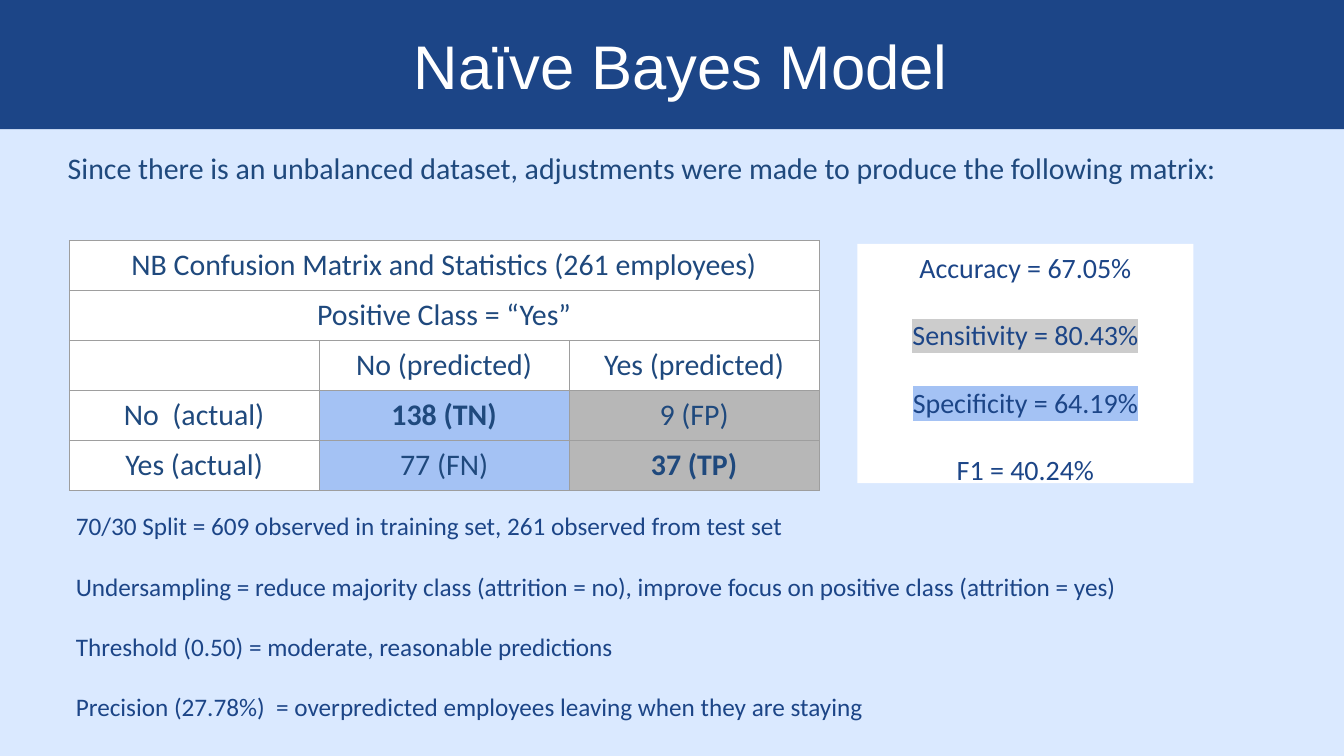
from lxml import etree
from pptx import Presentation
from pptx.dml.color import RGBColor
from pptx.enum.shapes import MSO_SHAPE
from pptx.enum.text import MSO_ANCHOR, MSO_AUTO_SIZE, PP_ALIGN
from pptx.oxml.ns import qn
from pptx.util import Inches, Pt

RECT = MSO_SHAPE.RECTANGLE
TOP = MSO_ANCHOR.TOP
NO_FIT = MSO_AUTO_SIZE.NONE
LEFT, CENTER = PP_ALIGN.LEFT, PP_ALIGN.CENTER

NAVY, SLATE, WHITE, SKY = "1C4587", "1F497D", "FFFFFF", "DAE9FF"
BLUE, GREY, SILVER, EDGE = "A4C2F4", "B7B7B7", "CCCCCC", "9E9E9E"

INTRO = "Since there is an unbalanced dataset, adjustments were made to produce the following matrix:"
NOTES = [
    "70/30 Split = 609 observed in training set, 261 observed from test set",
    "Undersampling = reduce majority class (attrition = no), improve focus on positive class (attrition = yes)",
    "Threshold (0.50) = moderate, reasonable predictions",
    "Precision (27.78%)  = overpredicted employees leaving when they are staying",
]
SCORES = [
    ("Accuracy = 67.05%", None),
    ("Sensitivity = 80.43%", SILVER),
    ("Specificity = 64.19%", BLUE),
    ("F1 = 40.24%", None),
]
MATRIX = [
    ["NB Confusion Matrix and Statistics (261 employees)", "", ""],
    ["Positive Class = “Yes”", "", ""],
    ["", "No (predicted)", "Yes (predicted)"],
    ["No  (actual)", "138 (TN)", "9 (FP)"],
    ["Yes (actual)", "77 (FN)", "37 (TP)"],
]
HITS = {(3, 1), (4, 2)}
TINTS = [WHITE, BLUE, GREY]


def color(code):
    """Turn a hex string into a colour."""
    return RGBColor.from_string(code)


def style(para, size, code, align=LEFT, font="Calibri", bold=False):
    """Set the font and alignment of a paragraph."""
    para.alignment = align
    para.font.name = font
    para.font.size = Pt(size)
    para.font.bold = bold
    para.font.color.rgb = color(code)


def mark(run, code):
    """Highlight a run."""
    tag = etree.SubElement(run.font._element, qn("a:highlight"))
    etree.SubElement(tag, qn("a:srgbClr"), val=code)


def write(shape, lines, size, code, align=LEFT, gap=0):
    """Fill a shape with (text, highlight) lines set apart by a gap."""
    frame = shape.text_frame
    frame.word_wrap = True
    frame.auto_size = NO_FIT
    frame.vertical_anchor = TOP
    frame.margin_left = frame.margin_right = Inches(0.1)
    frame.margin_top = frame.margin_bottom = Inches(0.1)
    for i, (text, tint) in enumerate(lines):
        para = frame.add_paragraph() if i else frame.paragraphs[0]
        run = para.add_run()
        run.text = text
        if i:
            para.space_before = Pt(gap)
        style(para, size, code, align)
        if tint:
            mark(run, tint)


def add_text(slide, box, *args, **keys):
    """Add a text box."""
    shape = slide.shapes.add_textbox(*map(Inches, box))
    write(shape, *args, **keys)


def add_box(slide, box, code):
    """Add a plain filled rectangle."""
    shape = slide.shapes.add_shape(RECT, *map(Inches, box))
    shape.shadow.inherit = False
    shape.fill.solid()
    shape.fill.fore_color.rgb = color(code)
    shape.line.fill.background()
    return shape


def add_title(slide, text):
    """Place the title over a band across the top."""
    band = add_box(slide, (0, 0, 20, 1.92), NAVY)
    title = slide.shapes.title
    title._element.addprevious(band._element)
    title.left, title.top = Inches(0.42), Inches(-0.03)
    title.width, title.height = Inches(19.42), Inches(1.11)
    frame = title.text_frame
    frame.text = text
    frame.auto_size = NO_FIT
    frame.vertical_anchor = TOP
    frame.margin_left = frame.margin_right = 0
    frame.margin_top = frame.margin_bottom = 0
    para = frame.paragraphs[0]
    para.line_spacing = 1.4
    style(para, 66, WHITE, CENTER, "Arial")


def edge(cell):
    """Draw the four borders of a cell."""
    props = cell._tc.get_or_add_tcPr()
    for side in ("lnL", "lnR", "lnT", "lnB"):
        line = etree.SubElement(props, qn(f"a:{side}"), w=str(Pt(0.75)))
        fill = etree.SubElement(line, qn("a:solidFill"))
        etree.SubElement(fill, qn("a:srgbClr"), val=EDGE)


def add_matrix(slide):
    """Add the confusion matrix."""
    rows, cols = len(MATRIX), len(MATRIX[0])
    box = map(Inches, (1.03, 3.58, 3.72 * cols, 0.73 * rows))
    table = slide.shapes.add_table(rows, cols, *box).table
    for col in table.columns:
        col.width = Inches(3.72)
    for r, row in enumerate(MATRIX):
        table.rows[r].height = Inches(0.73)
        for c, text in enumerate(row):
            cell = table.cell(r, c)
            cell.margin_left = cell.margin_right = Inches(0.1)
            cell.margin_top = cell.margin_bottom = Inches(0.1)
            edge(cell)
            cell.fill.solid()
            cell.fill.fore_color.rgb = color(TINTS[c] if r > 2 else WHITE)
            cell.text = text
            para = cell.text_frame.paragraphs[0]
            style(para, 32, SLATE, CENTER, bold=(r, c) in HITS)
    for r in range(2):
        table.cell(r, 0).merge(table.cell(r, cols - 1))


def main():
    """Build the slide and save it."""
    deck = Presentation()
    deck.slide_width, deck.slide_height = Inches(20), Inches(11.25)
    slide = deck.slides.add_slide(deck.slide_layouts[5])
    slide.background.fill.solid()
    slide.background.fill.fore_color.rgb = color(SKY)
    add_title(slide, "Naïve Bayes Model")
    add_text(slide, (0.91, 2.13, 17.96, 1.2), [(INTRO, None)], 32, SLATE)
    notes = [(text, None) for text in NOTES]
    add_text(slide, (1.03, 7.5, 18.18, 3.6), notes, 27, NAVY, gap=32)
    panel = add_box(slide, (12.76, 3.63, 5, 3.56), WHITE)
    write(panel, SCORES, 30, NAVY, CENTER, gap=36)
    add_matrix(slide)
    deck.save("out.pptx")


if __name__ == "__main__":
    main()
